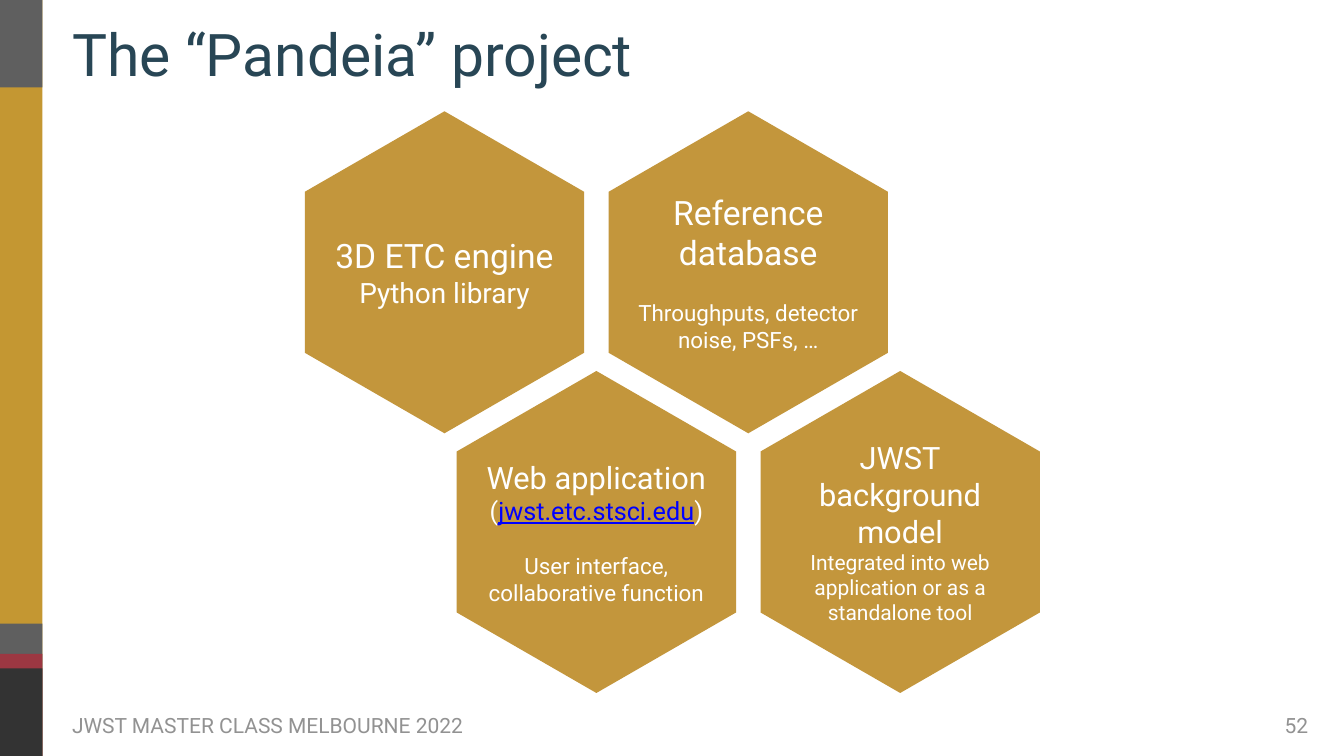
"""Build the slide that introduces the four parts of the Pandeia project."""
import pptx
import pptx.dml.color
import pptx.enum.shapes
import pptx.enum.text
import pptx.util

Pt = pptx.util.Pt
ALIGN = pptx.enum.text.PP_ALIGN
ANCHOR = pptx.enum.text.MSO_ANCHOR

WIDTH, HEIGHT = 1920, 1080
FONT = "Roboto"
COLOURS = {
    "gold": "C49732", "grey": "5F5F5F", "red": "9C3742", "dark": "333333",
    "hexagon": "C3963C", "title": "284655", "footer": "929292",
    "white": "FFFFFF", "link": "0000FF",
}
BANDS = [
    ("gold", 0, 1080), ("grey", 891, 1080), ("red", 934, 1080),
    ("dark", 955, 1080), ("grey", 0, 125),
]
HEX_WIDTH, HEX_HEIGHT = 399, 460
HEX_LEFT, HEX_TOP = 435.5, 159
COLUMN_STEP, ROW_STEP = 217, 371
BLANK_LINE = 37.5
HEXAGONS = [
    (0, 0, [("3D ETC engine", 48, 0), ("Python library", 40, 0)]),
    (2, 0, [("Reference database", 48, 0),
            ("Throughputs, detector noise, PSFs, …", 32, BLANK_LINE)]),
    (1, 1, [("Web application", 44, 0),
            (("(", "jwst.etc.stsci.edu", ")"), 36, 0),
            ("User interface,", 32, BLANK_LINE),
            ("collaborative function", 32, 0)]),
    (3, 1, [("JWST", 44, 0), ("background", 44, 0), ("model", 44, 0),
            ("Integrated into web application or as a standalone tool", 30, 0)]),
]


def colour(name):
    """Return the named colour."""
    return pptx.dml.color.RGBColor.from_string(COLOURS[name])


def paint(shape, name):
    """Give a shape a plain fill with no line or shadow."""
    shape.shadow.inherit = False
    shape.fill.solid()
    shape.fill.fore_color.rgb = colour(name)
    shape.line.fill.background()


def style(span, size, name):
    """Set the font, size and colour of a span."""
    span.font.name = FONT
    span.font.size = Pt(size)
    span.font.color.rgb = colour(name)


def set_frame(frame, side, ends, wrap=True):
    """Set margins, wrapping and middle anchoring of a text frame."""
    frame.margin_left = frame.margin_right = Pt(side)
    frame.margin_top = frame.margin_bottom = Pt(ends)
    frame.word_wrap = wrap
    frame.auto_size = pptx.enum.text.MSO_AUTO_SIZE.NONE
    frame.vertical_anchor = ANCHOR.MIDDLE


def add_sidebar(page, left, width):
    """Stack the coloured bands along the left edge."""
    for name, top, bottom in BANDS:
        band = page.shapes.add_shape(
            pptx.enum.shapes.MSO_SHAPE.RECTANGLE,
            Pt(left), Pt(top), Pt(width), Pt(bottom - top))
        paint(band, name)


def add_title(page, left, top, width, height):
    """Place the title placeholder and fill it."""
    title = page.shapes.title
    title.left, title.top = Pt(left), Pt(top)
    title.width, title.height = Pt(width), Pt(height)
    set_frame(title.text_frame, 4.3, 4.3)
    title.text_frame.text = "The “Pandeia” project"
    para = title.text_frame.paragraphs[0]
    para.alignment = ALIGN.LEFT
    style(para.runs[0], 84, "title")


def add_footer(page, text, align, left, top, width, height):
    """Add one line of footer text."""
    box = page.shapes.add_textbox(Pt(left), Pt(top), Pt(width), Pt(height))
    set_frame(box.text_frame, 4.3, 4.3, wrap=False)
    box.text_frame.text = text
    para = box.text_frame.paragraphs[0]
    para.alignment = align
    style(para.runs[0], 30, "footer")


def fill_paragraph(para, content, size, gap):
    """Write a centred paragraph; a tuple holds a link between its brackets."""
    para.alignment = ALIGN.CENTER
    if gap:
        para.space_before = Pt(gap)
    if isinstance(content, tuple):
        for text in content:
            para.add_run().text = text
    else:
        para.text = content
    for span in para.runs:
        style(span, size, "white")
    if isinstance(content, tuple):
        link = para.runs[1]
        link.font.color.rgb = colour("link")
        link.font.underline = True


def add_hexagon(page, left, top, width, height, lines):
    """Draw an upright hexagon and write its lines."""
    middle, right = left + width / 2, left + width
    upper, lower = top + height / 4, top + height * 3 / 4
    corners = [(right, upper), (right, lower), (middle, top + height),
               (left, lower), (left, upper)]
    builder = page.shapes.build_freeform(Pt(middle), Pt(top))
    builder.add_line_segments([(Pt(x), Pt(y)) for x, y in corners], close=True)
    hexagon = builder.convert_to_shape()
    paint(hexagon, "hexagon")
    frame = hexagon.text_frame
    set_frame(frame, 36, 0)
    for index, line in enumerate(lines):
        para = frame.add_paragraph() if index else frame.paragraphs[0]
        fill_paragraph(para, *line)


def main():
    """Build and save the deck."""
    deck = pptx.Presentation()
    deck.slide_width, deck.slide_height = Pt(WIDTH), Pt(HEIGHT)
    page = deck.slides.add_slide(deck.slide_layouts.get_by_name("Title Only"))
    add_sidebar(page, -0.7, 61.2)
    add_footer(page, "JWST MASTER CLASS MELBOURNE 2022", ALIGN.LEFT,
               98.6, 1013, 602, 45)
    add_footer(page, "52", ALIGN.CENTER, 1829.5, 1011, 45, 49)
    add_title(page, 98.6, 13.7, 1520.6, 125.3)
    for column, row, lines in HEXAGONS:
        add_hexagon(page, HEX_LEFT + column * COLUMN_STEP,
                    HEX_TOP + row * ROW_STEP, HEX_WIDTH, HEX_HEIGHT, lines)
    deck.save("out.pptx")


if __name__ == "__main__":
    main()
